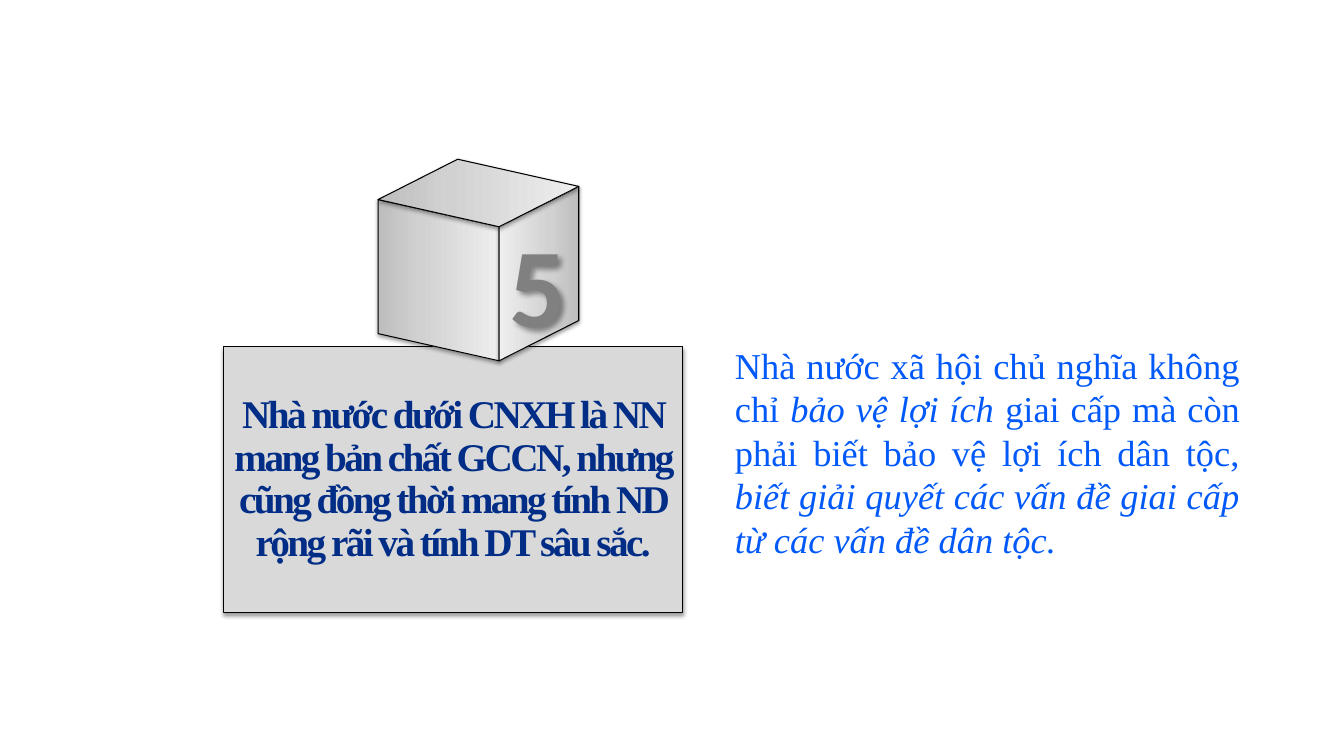
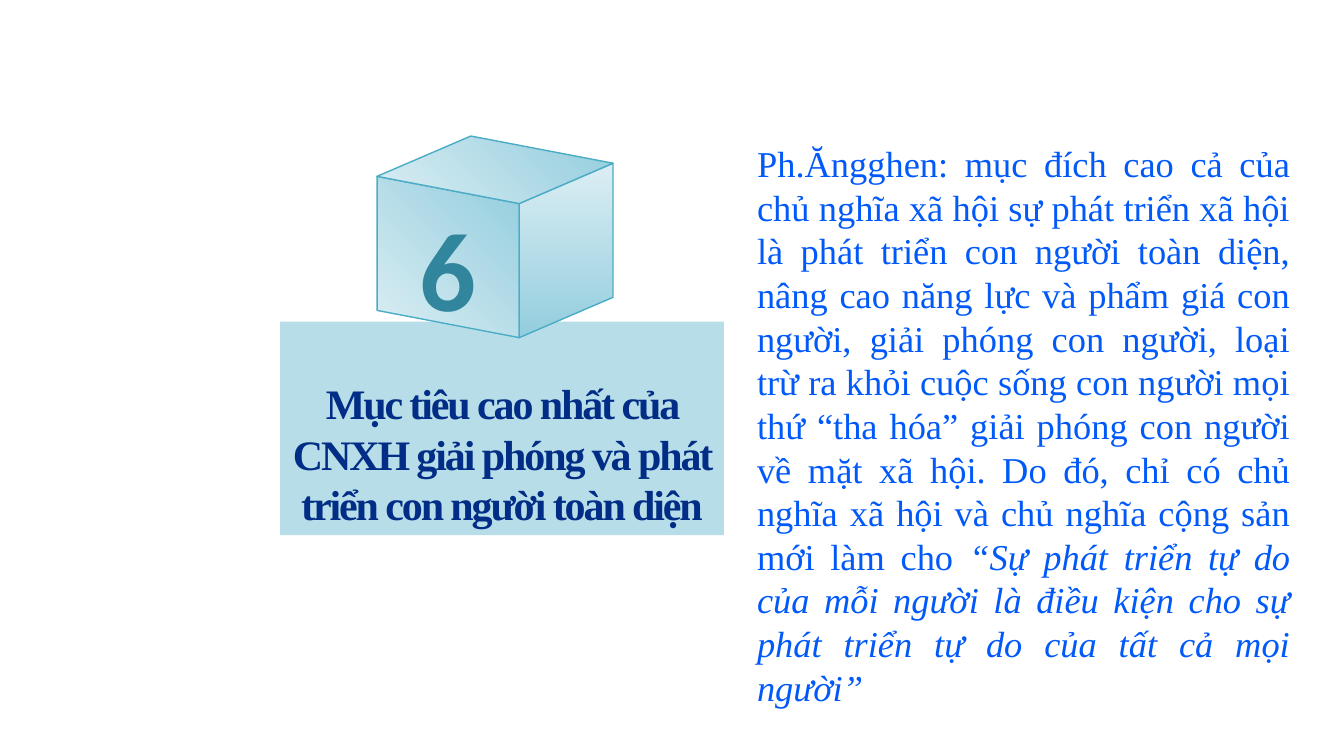
from dataclasses import dataclass

from lxml import etree
from pptx import Presentation
from pptx.dml.color import RGBColor
from pptx.enum.shapes import MSO_SHAPE as Shape
from pptx.enum.text import MSO_ANCHOR as Anchor, PP_ALIGN as Align
from pptx.oxml.ns import qn
from pptx.util import Inches, Pt


@dataclass(frozen=True)
class Theme:
    serif: str = "Times New Roman"
    sans: str = "Calibri"
    heading: str = "012D86"
    body: str = "0159F9"
    body_size: int = 26
    digit_size: int = 80


THEME = Theme()
SOFT_SHADOW = dict(alpha=38, blur=3.1, distance=1.6, angle=90)
DIGIT_SHADOW = dict(alpha=40, blur=4, distance=3, angle=45)
CUBE_HEIGHT, CUBE_DROP, CUBE_RISE = 1.33, 0.27, 0.4

SLIDES = [
    dict(
        card=dict(
            at=(2.22, 3.44, 4.55, 2.64), fill="D9D9D9", line="000000",
            size=28, spacing=0.9, tracking=-1.8, inset=0.48, shadow=SOFT_SHADOW,
            text="Nhà nước dưới CNXH là NN mang bản chất GCCN, nhưng cũng đồng thời "
                 "mang tính ND rộng rãi và tính DT sâu sắc.",
        ),
        cube=dict(
            left=3.75, top=1.98, front=1.2, side=0.79, line="000000", width=0.75,
            stops=[(0, "BDBDBD"), (35, "D1D1D1"), (100, "EEEEEE")],
            angles=(0, 180, 0), shadow=SOFT_SHADOW,
        ),
        digit=dict(text="5", at=(4.95, 2.09, 0.77, 1.45), color="808080", shadow=DIGIT_SHADOW),
        body=dict(at=(7.19, 3.35, 5.21, 2.29), runs=[
            ("Nhà nước xã hội chủ nghĩa không chỉ ", False),
            ("bảo vệ lợi ích ", True),
            ("giai cấp mà còn phải biết bảo vệ lợi ích dân tộc, ", False),
            ("biết giải quyết các vấn đề giai cấp từ các vấn đề dân tộc.", True),
        ]),
    ),
    dict(
        card=dict(
            at=(2.78, 3.19, 4.4, 2.12), fill="B7DEE8", line=None,
            size=30, spacing=1.0, tracking=-1.5, inset=0.56, shadow=None,
            text="Mục tiêu cao nhất của CNXH giải phóng và phát triển con người toàn diện",
        ),
        cube=dict(
            left=3.74, top=1.75, front=1.41, side=0.93, line="4BACC6", width=1,
            stops=[(0, "DBEEF4"), (100, "93CDDD")],
            angles=(45, 270, 45), shadow=None,
        ),
        digit=dict(text="6", at=(4.06, 1.93, 0.76, 1.45), color="31859C", shadow=None),
        body=dict(at=(7.41, 1.35, 5.49, 5.79), runs=[
            ("Ph.Ăngghen: mục đích cao cả của chủ nghĩa xã hội sự phát triển xã hội là "
             "phát triển con người toàn diện, nâng cao năng lực và phẩm giá con người, "
             "giải phóng con người, loại trừ ra khỏi cuộc sống con người mọi thứ “tha hóa” "
             "giải phóng con người về mặt xã hội. Do đó, chỉ có chủ nghĩa xã hội và chủ "
             "nghĩa cộng sản mới làm cho ", False),
            ("“Sự phát triển tự do của mỗi người là điều kiện cho sự phát triển tự do "
             "của tất cả mọi người”", True),
        ]),
    ),
]


def rgb(color):
    return RGBColor.from_string(color)


def set_shadow(shape, shadow):
    shape.shadow.inherit = False
    if not shadow:
        return
    effects = shape._element.spPr.find(qn("a:effectLst"))
    outer = etree.SubElement(
        effects, qn("a:outerShdw"), blurRad=str(Pt(shadow["blur"])),
        dist=str(Pt(shadow["distance"])), dir=str(shadow["angle"] * 60000),
        algn="ctr", rotWithShape="0")
    color = etree.SubElement(outer, qn("a:srgbClr"), val="000000")
    etree.SubElement(color, qn("a:alpha"), val=str(shadow["alpha"] * 1000))


def set_gradient(shape, stops, angle):
    shape.fill.gradient()
    shape.fill.gradient_angle = angle
    stop_list = shape._element.spPr.find(qn("a:gradFill")).find(qn("a:gsLst"))
    for old in list(stop_list):
        stop_list.remove(old)
    for position, color in stops:
        stop = etree.SubElement(stop_list, qn("a:gs"), pos=str(position * 1000))
        etree.SubElement(stop, qn("a:srgbClr"), val=color)


def set_line(shape, color, width=0.75):
    if color:
        shape.line.color.rgb = rgb(color)
        shape.line.width = Pt(width)
    else:
        shape.line.fill.background()


def write(para, runs, align, font, size, color, bold=False):
    para.alignment = align
    para.font.name = font
    para.font.size = Pt(size)
    para.font.bold = bold
    para.font.color.rgb = rgb(color)
    for text, italic in runs:
        span = para.add_run()
        span.text = text
        if italic:
            span.font.italic = True


def add_card(page, card):
    box = page.shapes.add_shape(Shape.RECTANGLE, *map(Inches, card["at"]))
    box.fill.solid()
    box.fill.fore_color.rgb = rgb(card["fill"])
    set_line(box, card["line"])
    set_shadow(box, card["shadow"])
    frame = box.text_frame
    frame.word_wrap = True
    frame.vertical_anchor = Anchor.TOP
    frame.margin_top = Inches(card["inset"])
    para = frame.paragraphs[0]
    para.line_spacing = card["spacing"]
    write(para, [(card["text"], False)], Align.CENTER, THEME.serif,
          card["size"], THEME.heading, bold=True)
    properties = para._p.get_or_add_pPr().get_or_add_defRPr()
    properties.set("spc", str(round(card["tracking"] * 100)))


def cube_faces(left, top, front, side):
    middle, right = left + front, left + front + side
    near = top + CUBE_DROP
    return [
        [(left, top), (left, top + CUBE_HEIGHT), (middle, near + CUBE_HEIGHT), (middle, near)],
        [(right, near - CUBE_RISE), (middle, near), (middle, near + CUBE_HEIGHT),
         (right, near + CUBE_HEIGHT - CUBE_RISE)],
        [(left + side, top - CUBE_RISE), (left, top), (middle, near), (right, near - CUBE_RISE)],
    ]


def add_cube(page, cube):
    faces = cube_faces(cube["left"], cube["top"], cube["front"], cube["side"])
    for face, angle in zip(faces, cube["angles"]):
        start, *others = [(Inches(x), Inches(y)) for x, y in face]
        builder = page.shapes.build_freeform(*start)
        builder.add_line_segments(others, close=True)
        shape = builder.convert_to_shape()
        set_gradient(shape, cube["stops"], angle)
        set_line(shape, cube["line"], cube["width"])
        set_shadow(shape, cube["shadow"])


def add_digit(page, digit):
    box = page.shapes.add_textbox(*map(Inches, digit["at"]))
    box.text_frame.word_wrap = False
    set_shadow(box, digit["shadow"])
    write(box.text_frame.paragraphs[0], [(digit["text"], False)], Align.CENTER,
          THEME.sans, THEME.digit_size, digit["color"], bold=True)


def add_body(page, body):
    box = page.shapes.add_textbox(*map(Inches, body["at"]))
    box.text_frame.word_wrap = True
    write(box.text_frame.paragraphs[0], body["runs"], Align.JUSTIFY,
          THEME.serif, THEME.body_size, THEME.body)


def main():
    deck = Presentation()
    deck.slide_width, deck.slide_height = Inches(13.33), Inches(7.5)
    for content in SLIDES:
        page = deck.slides.add_slide(deck.slide_layouts[6])
        add_card(page, content["card"])
        add_cube(page, content["cube"])
        add_digit(page, content["digit"])
        add_body(page, content["body"])
    deck.save("out.pptx")


if __name__ == "__main__":
    main()
